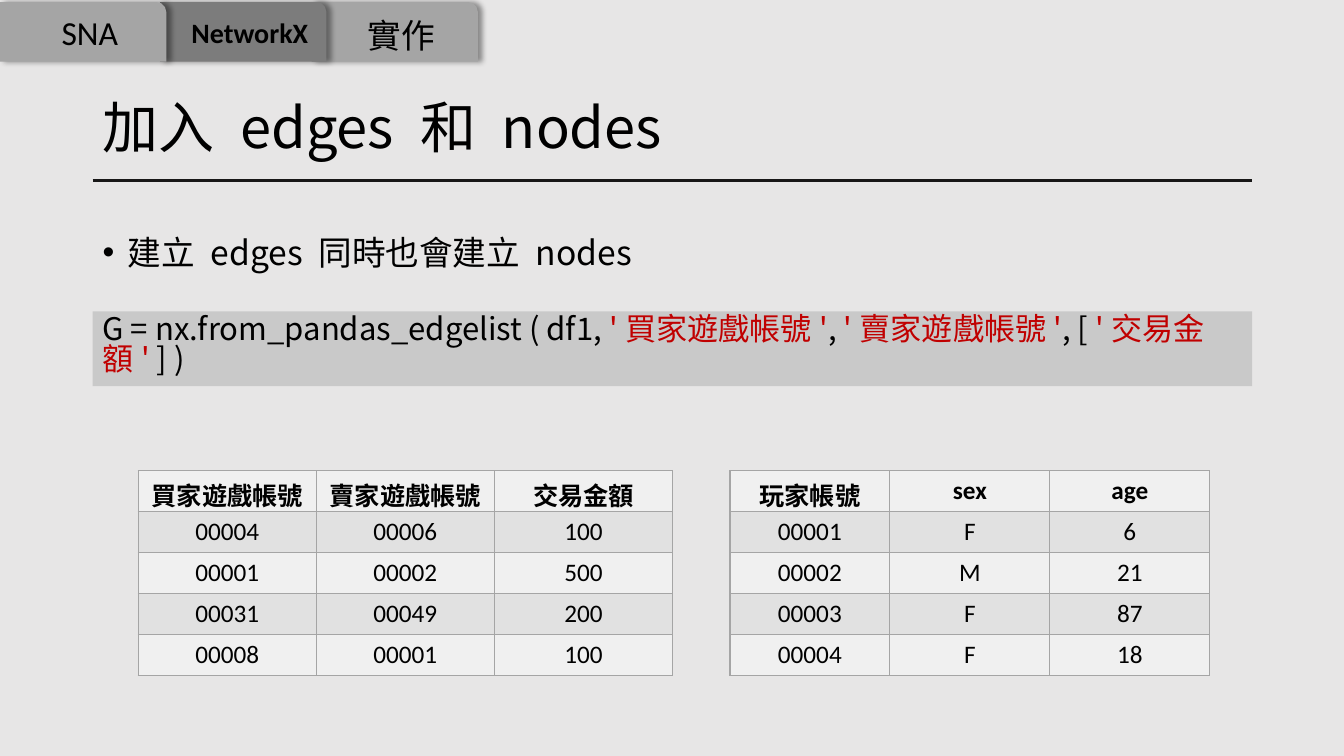
from dataclasses import dataclass

from lxml import etree
from pptx import Presentation
from pptx.dml.color import RGBColor
from pptx.enum.shapes import MSO_CONNECTOR, MSO_SHAPE
from pptx.enum.text import MSO_ANCHOR, PP_ALIGN
from pptx.oxml.ns import qn
from pptx.util import Inches, Pt

STRAIGHT = MSO_CONNECTOR.STRAIGHT
RECTANGLE, TAB_SHAPE = MSO_SHAPE.RECTANGLE, MSO_SHAPE.ROUND_1_RECTANGLE
TOP, MIDDLE = MSO_ANCHOR.TOP, MSO_ANCHOR.MIDDLE
LEFT, CENTER, JUSTIFY = PP_ALIGN.LEFT, PP_ALIGN.CENTER, PP_ALIGN.JUSTIFY


@dataclass(frozen=True)
class Theme:
    background: str = "E7E6E6"
    ink: str = "000000"
    rule: str = "181717"
    tab: str = "A5A5A5"
    active_tab: str = "7C7C7C"
    code_panel: str = "C9C9C9"
    string: str = "C00000"
    grid_line: str = "A5A5A5"
    light_row: str = "F0F0F0"
    dark_row: str = "E1E1E1"
    latin: str = "Calibri"
    cjk: str = "Noto Sans CJK SC"
    title_size: float = 40
    body_size: float = 24
    code_size: float = 22.2
    active_size: float = 20
    table_size: float = 18


THEME = Theme()


@dataclass(frozen=True)
class Box:
    left: float
    top: float
    width: float
    height: float

    def share(self, x, y, width, height):
        """Inner box, given as percentages of this one."""
        return Box(self.left + x * self.width / 100, self.top + y * self.height / 100,
                   width * self.width / 100, height * self.height / 100)

    def emu(self):
        return [Inches(v) for v in (self.left, self.top, self.width, self.height)]


PAGE = Box(0, 0, 13.33, 7.5)


def write(frame, runs, size=THEME.body_size, font=THEME.cjk, bold=False,
          align=LEFT, anchor=TOP, spacing=1.0):
    """Fill a text frame with one paragraph of (text, colour) runs."""
    if isinstance(runs, str):
        runs = [(runs, THEME.ink)]
    frame.word_wrap = True
    frame.vertical_anchor = anchor
    paragraph = frame.paragraphs[0]
    paragraph.alignment = align
    paragraph.line_spacing = spacing
    for text, colour in runs:
        run = paragraph.add_run()
        run.text = text
        run.font.size = Pt(size)
        run.font.bold = bold
        run.font.name = font
        run.font.color.rgb = RGBColor.from_string(colour)
        east_asian = etree.SubElement(run.font._element, qn("a:ea"))
        east_asian.set("typeface", THEME.cjk)
    return paragraph


def text_box(slide, box, runs, **style):
    return write(slide.shapes.add_textbox(*box.emu()).text_frame, runs, **style)


def panel(slide, box, kind, colour):
    shape = slide.shapes.add_shape(kind, *box.emu())
    shape.shadow.inherit = False
    shape.fill.solid()
    shape.fill.fore_color.rgb = RGBColor.from_string(colour)
    shape.line.fill.background()
    return shape


def cast_shadow(shape):
    effects = shape._element.spPr.find(qn("a:effectLst"))
    shadow = etree.SubElement(effects, qn("a:outerShdw"), blurRad=str(Pt(4)),
                              dist=str(Pt(3)), dir="0", rotWithShape="0")
    black = etree.SubElement(shadow, qn("a:srgbClr"), val=THEME.ink)
    etree.SubElement(black, qn("a:alpha"), val="40000")


def section_tabs(slide, box):
    # Tab left, colour, label, label box, label style
    tabs = [
        (0, THEME.tab, "SNA", (10.8, 8, 22, 85), dict(font=THEME.latin)),
        (33.5, THEME.active_tab, "NetworkX", (38, 14, 34.4, 75),
         dict(font=THEME.latin, size=THEME.active_size, bold=True)),
        (65.2, THEME.tab, "實作", (74.9, 14, 20.3, 85), dict(align=JUSTIFY)),
    ]
    # Earlier tabs overlap later ones
    for left, colour, *_ in reversed(tabs):
        cast_shadow(panel(slide, box.share(left, 0, 34.8, 100), TAB_SHAPE, colour))
    for _, _, label, place, style in tabs:
        text_box(slide, box.share(*place), label, **style)


def heading(slide, box, title):
    text_box(slide, box, title, size=THEME.title_size, anchor=MIDDLE, spacing=0.9)
    left, top, width, height = box.emu()
    rule = slide.shapes.add_connector(STRAIGHT, left, top + height,
                                      left + width, top + height)
    rule.line.color.rgb = RGBColor.from_string(THEME.rule)
    rule.line.width = Pt(2.25)
    etree.SubElement(rule._element.spPr, qn("a:effectLst"))


def bullet_point(slide, box, text):
    properties = text_box(slide, box, text, spacing=1.5)._p.get_or_add_pPr()
    properties.set("marL", str(Inches(0.25)))
    properties.set("indent", str(-Inches(0.25)))
    etree.SubElement(properties, qn("a:buFont"), typeface="Arial")
    etree.SubElement(properties, qn("a:buChar"), char="•")


def code_line(slide, box, pieces):
    code = panel(slide, box, RECTANGLE, THEME.code_panel)
    # Odd pieces are string literals
    runs = [(piece, THEME.string if i % 2 else THEME.ink)
            for i, piece in enumerate(pieces)]
    write(code.text_frame, runs, size=THEME.code_size, spacing=0.8)


def outline_cell(cell):
    properties = cell._tc.get_or_add_tcPr()
    for side in ("a:lnL", "a:lnR", "a:lnT", "a:lnB"):
        line = etree.SubElement(properties, qn(side), w=str(Pt(1)))
        fill = etree.SubElement(line, qn("a:solidFill"))
        etree.SubElement(fill, qn("a:srgbClr"), val=THEME.grid_line)


def data_table(slide, box, records):
    table = slide.shapes.add_table(len(records), len(records[0]), *box.emu()).table
    table.first_row = table.horz_banding = False
    for r, record in enumerate(records):
        for c, value in enumerate(record):
            cell = table.cell(r, c)
            cell.margin_bottom = 0
            outline_cell(cell)
            cell.fill.solid()
            cell.fill.fore_color.rgb = RGBColor.from_string(
                THEME.dark_row if r % 2 else THEME.light_row)
            write(cell.text_frame, value, size=THEME.table_size,
                  font=THEME.latin, bold=r == 0, align=CENTER)


def edges_slide(slide, box):
    slide.background.fill.solid()
    slide.background.fill.fore_color.rgb = RGBColor.from_string(THEME.background)
    content = box.share(6.9, 0, 86.27, 100)
    section_tabs(slide, box.share(0, 0.27, 35.56, 7.87))
    heading(slide, content.share(0, 10.67, 100, 13.2), "加入 edges 和 nodes")
    code_line(slide, content.share(0, 41.2, 100, 9.87), [
        "G = nx.from_pandas_edgelist ( df1, ", "'買家遊戲帳號'", ", ",
        "'賣家遊戲帳號'", ", [ ", "'交易金額' ", "] )"])
    bullet_point(slide, content.share(0, 27.33, 100, 13.87),
                 "建立 edges 同時也會建立 nodes")

    # Player attributes, then trades
    tables = box.share(0, 62.27, 100, 27.07)
    data_table(slide, tables.share(54.31, 0, 35.71, 100), [
        ("玩家帳號", "sex", "age"),
        ("00001", "F", "6"),
        ("00002", "M", "21"),
        ("00003", "F", "87"),
        ("00004", "F", "18")])
    data_table(slide, tables.share(10.28, 0, 39.76, 100), [
        ("買家遊戲帳號", "賣家遊戲帳號", "交易金額"),
        ("00004", "00006", "100"),
        ("00001", "00002", "500"),
        ("00031", "00049", "200"),
        ("00008", "00001", "100")])


deck = Presentation()
deck.slide_width, deck.slide_height = Inches(PAGE.width), Inches(PAGE.height)
edges_slide(deck.slides.add_slide(deck.slide_layouts[6]), PAGE)
deck.save("out.pptx")
